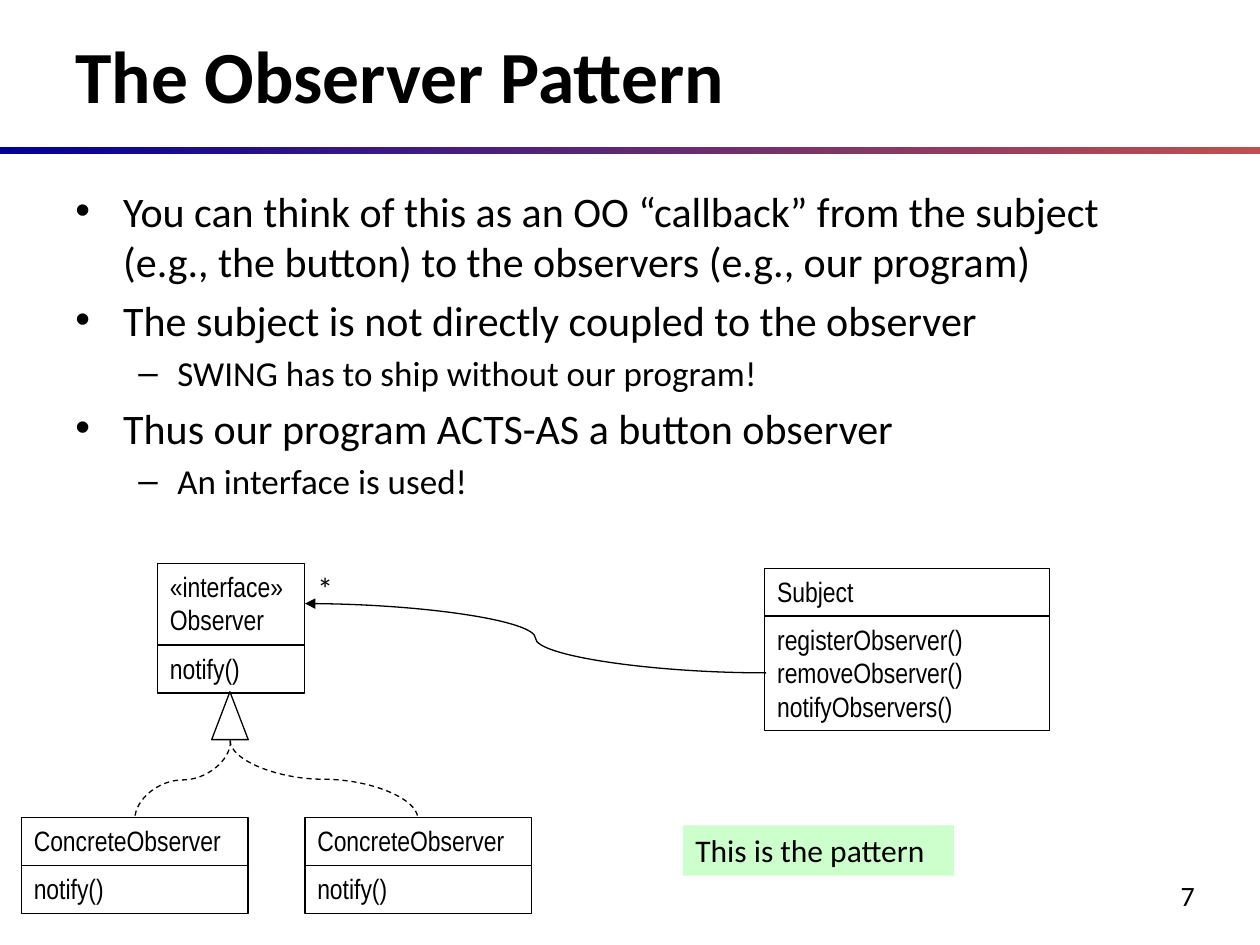
from dataclasses import dataclass

import pptx
import pptx.dml.color
import pptx.enum.dml
import pptx.enum.shapes
import pptx.enum.text
import pptx.oxml
import pptx.oxml.ns
import pptx.util
from lxml import etree

Inches = pptx.util.Inches
Pt = pptx.util.Pt
RGBColor = pptx.dml.color.RGBColor
SHAPE = pptx.enum.shapes.MSO_SHAPE
ALIGN = pptx.enum.text.PP_ALIGN
ANCHOR = pptx.enum.text.MSO_ANCHOR


@dataclass(frozen=True)
class Theme:
    ink: RGBColor = RGBColor.from_string("000000")
    rule_start: RGBColor = RGBColor.from_string("000099")
    rule_end: RGBColor = RGBColor.from_string("C0504D")
    note: RGBColor = RGBColor.from_string("CCFFCC")
    text_font: str = "Calibri"
    class_font: str = "Arial Narrow"
    title: int = 42
    body: tuple = (24, 20)
    label: int = 18
    small: int = 16
    line: float = 0.75


@dataclass(frozen=True)
class Bullet:
    text: str
    level: int = 0


@dataclass(frozen=True)
class ClassBox:
    left: float
    top: float
    width: float
    name: str
    name_height: float
    members: str
    members_height: float


@dataclass(frozen=True)
class Curve:
    """A curved connector; its frame is given before rotation."""
    left: float
    top: float
    width: float
    height: float
    turn: int
    flip: bool = False
    dashed: bool = False
    arrow: bool = False


THEME = Theme()
BULLETS = [
    Bullet("You can think of this as an OO “callback” from the subject "
           "(e.g., the button) to the observers (e.g., our program)"),
    Bullet("The subject is not directly coupled to the observer"),
    Bullet("SWING has to ship without our program!", 1),
    Bullet("Thus our program ACTS-AS a button observer"),
    Bullet("An interface is used!", 1),
]
BULLET_STYLES = [("•", 0.38, -0.38), ("–", 0.81, -0.31)]
ROW = 0.38
CLASSES = [
    ClassBox(1.25, 4.47, 1.17, "«interface»\vObserver", 0.65, "notify()", ROW),
    ClassBox(6.07, 4.51, 2.26, "Subject", ROW,
             "registerObserver()\vremoveObserver()\vnotifyObservers()", 0.91),
] + [ClassBox(left, 6.49, 1.8, "ConcreteObserver", ROW, "notify()", ROW)
     for left in (0.17, 2.42)]
CURVES = [
    Curve(2.26, 5.44, 0.62, 1.49, 270, flip=True, dashed=True),
    Curve(1.14, 5.81, 0.62, 0.76, 90, dashed=True),
    Curve(2.42, 4.79, 3.66, 0.55, 180, arrow=True),
]


def style_para(para, size: float, font: str = THEME.text_font,
               bold: bool = False) -> None:
    for span in para.runs:
        span.font.size = Pt(size)
        span.font.name = font
        span.font.bold = bold
        span.font.color.rgb = THEME.ink


def add_text(page, left: float, top: float, width: float, height: float,
             text: str, size: float, bold: bool = False,
             align=ALIGN.LEFT, anchor=ANCHOR.TOP):
    box = page.shapes.add_textbox(Inches(left), Inches(top),
                                  Inches(width), Inches(height))
    frame = box.text_frame
    frame.word_wrap = True
    frame.vertical_anchor = anchor
    frame.text = text
    frame.paragraphs[0].alignment = align
    style_para(frame.paragraphs[0], size, bold=bold)
    return box


def add_outline(page, kind, left: float, top: float, width: float,
                height: float):
    shape = page.shapes.add_shape(kind, Inches(left), Inches(top),
                                  Inches(width), Inches(height))
    shape.shadow.inherit = False
    shape.fill.background()
    shape.line.color.rgb = THEME.ink
    shape.line.width = Pt(THEME.line)
    return shape


def add_class(page, item: ClassBox) -> None:
    parts = [(item.top, item.name_height, item.name),
             (item.top + item.name_height, item.members_height, item.members)]
    for top, height, text in parts:
        box = add_outline(page, SHAPE.RECTANGLE, item.left, top,
                          item.width, height)
        frame = box.text_frame
        frame.word_wrap = True
        frame.vertical_anchor = ANCHOR.TOP
        frame.text = text
        frame.paragraphs[0].alignment = ALIGN.LEFT
        style_para(frame.paragraphs[0], THEME.small, THEME.class_font)


def add_curve(page, curve: Curve) -> None:
    line = page.shapes.add_connector(
        pptx.enum.shapes.MSO_CONNECTOR.CURVE,
        Inches(curve.left), Inches(curve.top),
        Inches(curve.left + curve.width), Inches(curve.top + curve.height))
    line.line.color.rgb = THEME.ink
    line.line.width = Pt(THEME.line)
    if curve.dashed:
        line.line.dash_style = pptx.enum.dml.MSO_LINE.DASH
    properties = line._element.spPr
    frame = properties.find(pptx.oxml.ns.qn("a:xfrm"))
    frame.set("rot", str(curve.turn * 60000))
    if curve.flip:
        frame.set("flipH", "1")
    if curve.arrow:
        etree.SubElement(line.line._get_or_add_ln(),
                         pptx.oxml.ns.qn("a:tailEnd"), type="triangle")
    etree.SubElement(properties, pptx.oxml.ns.qn("a:effectLst"))


def add_bullets(page) -> None:
    box = add_text(page, 0.5, 1.42, 9, 5.42, "", THEME.body[0])
    frame = box.text_frame
    frame.text = "\n".join(bullet.text for bullet in BULLETS)
    for para, bullet in zip(frame.paragraphs, BULLETS):
        mark, margin, indent = BULLET_STYLES[bullet.level]
        para.level = bullet.level
        style_para(para, THEME.body[bullet.level])
        layout = para._p.get_or_add_pPr()
        layout.set("marL", str(Inches(margin)))
        layout.set("indent", str(Inches(indent)))
        spacing = etree.SubElement(layout, pptx.oxml.ns.qn("a:spcBef"))
        etree.SubElement(spacing, pptx.oxml.ns.qn("a:spcPct"), val="20000")
        etree.SubElement(layout, pptx.oxml.ns.qn("a:buFont"), typeface="Arial")
        etree.SubElement(layout, pptx.oxml.ns.qn("a:buChar"), char=mark)


def main() -> None:
    deck = pptx.Presentation()
    deck.slide_width, deck.slide_height = Inches(10), Inches(7.5)
    page = deck.slides.add_slide(deck.slide_layouts[6])

    # Gradient rule, page number and title
    rule = add_outline(page, SHAPE.RECTANGLE, 0, 1.17, 10, 0.05)
    rule.line.fill.background()
    rule.fill.gradient()
    rule.fill.gradient_angle = 0
    for stop, color in zip(rule.fill.gradient_stops,
                           (THEME.rule_start, THEME.rule_end)):
        stop.color.rgb = color
    add_text(page, 8.58, 6.92, 1, 0.37, "7", THEME.small, align=ALIGN.RIGHT)
    add_text(page, 0.5, 0.17, 9.08, 0.83, "The Observer Pattern",
             THEME.title, bold=True, anchor=ANCHOR.MIDDLE)
    add_bullets(page)

    # Class diagram
    for item in CLASSES:
        add_class(page, item)
    add_outline(page, SHAPE.ISOSCELES_TRIANGLE, 1.68, 5.49, 0.29, 0.38)
    for curve in CURVES:
        add_curve(page, curve)

    # Multiplicity and note
    add_text(page, 2.42, 4.47, 0.33, 0.4, "*", THEME.label)
    note = add_text(page, 5.42, 6.55, 2.15, 0.4, "This is the pattern",
                    THEME.label)
    note.fill.solid()
    note.fill.fore_color.rgb = THEME.note

    deck.save("out.pptx")


if __name__ == "__main__":
    main()
